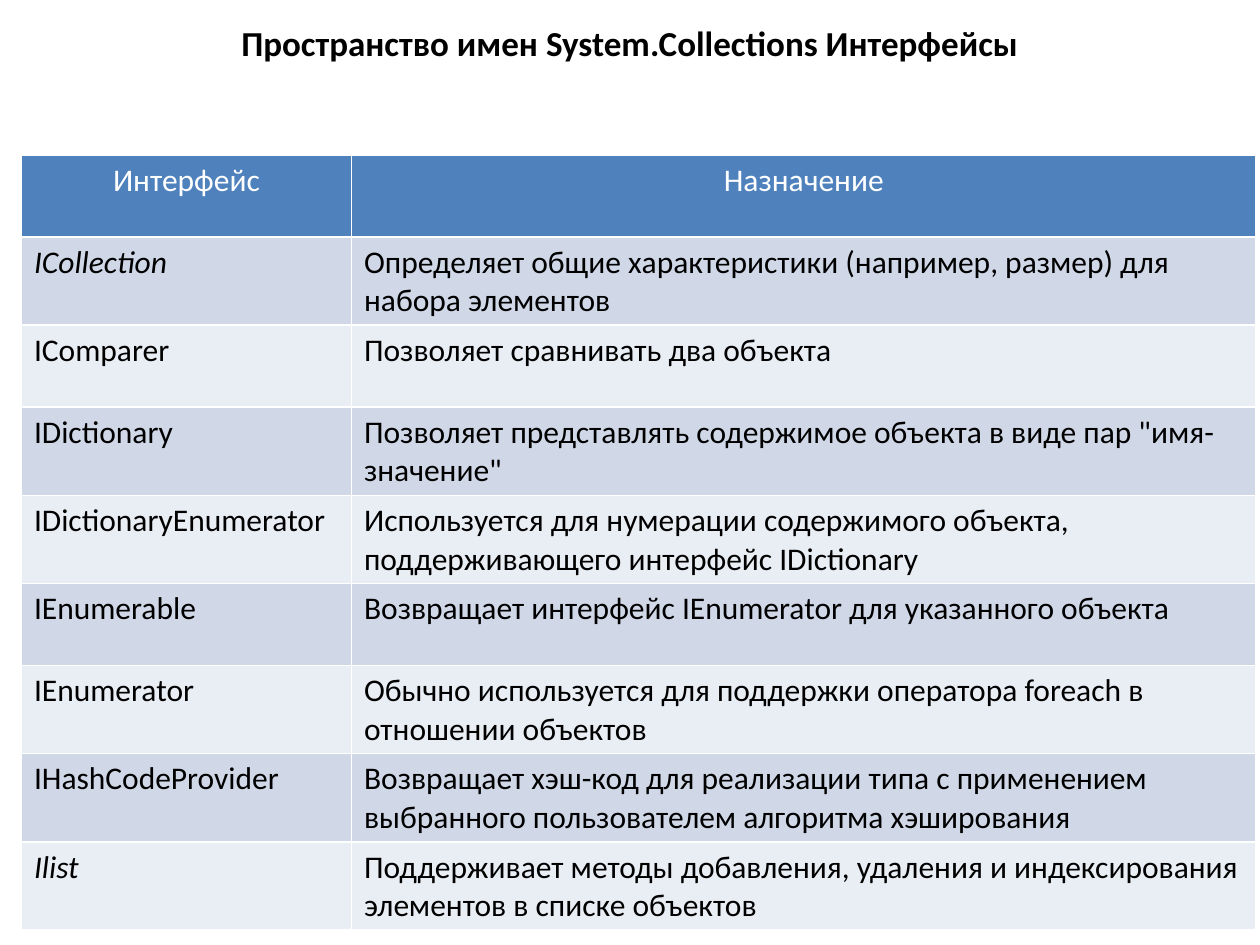
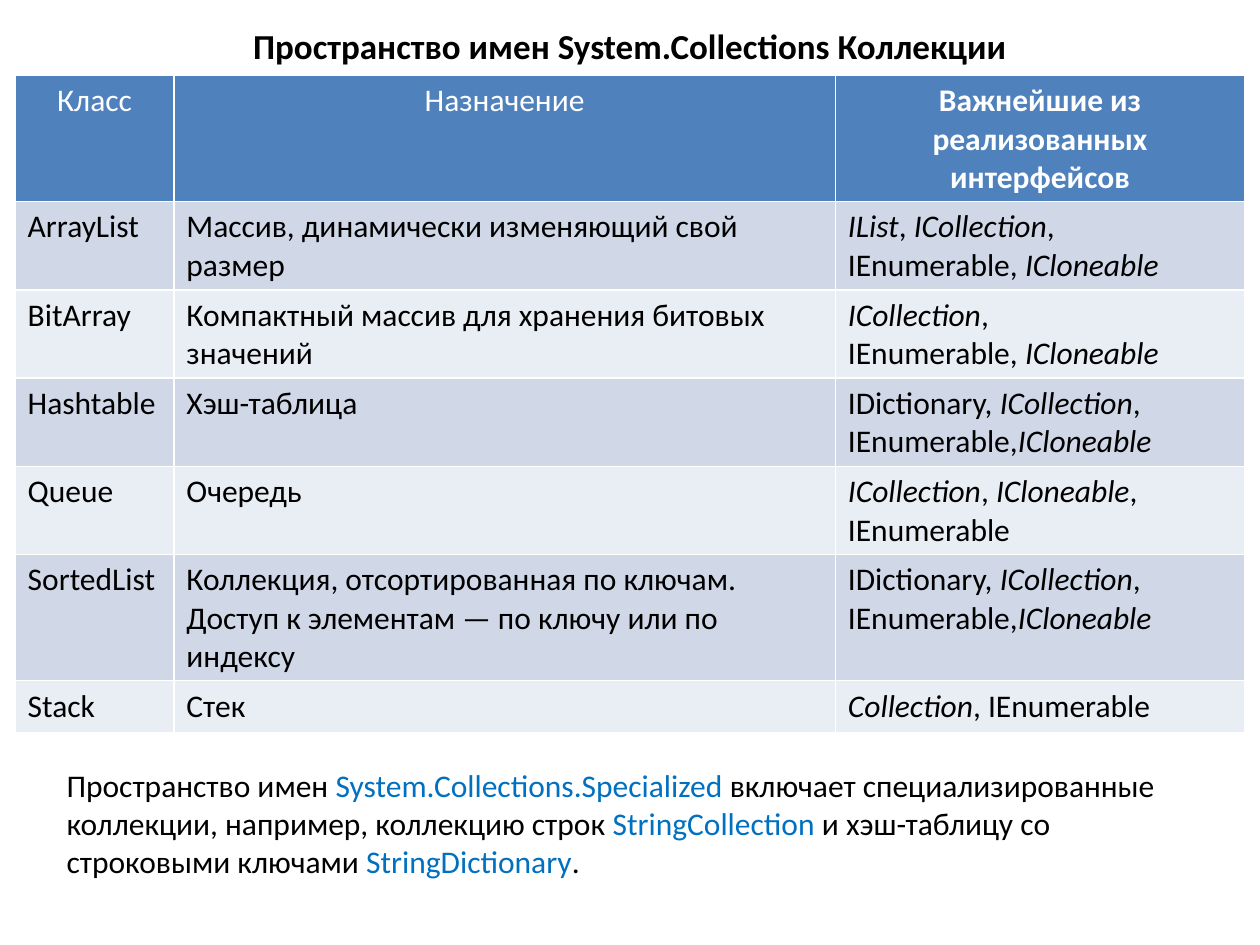
from pptx import Presentation
from pptx.dml.color import RGBColor
from pptx.enum import text
from pptx.util import Inches, Pt

FONT = "Calibri"
BLACK, WHITE, LINK = "000000", "FFFFFF", "0070C0"
HEADER_FILL = "4F81BD"
BAND_FILLS = ("D0D8E8", "E9EDF4")
TITLE_FORMAT = {"size": Pt(20), "bold": True, "color": BLACK}
HEADER_FORMAT = {"size": Pt(18), "bold": False, "color": WHITE}
BODY_FORMAT = {"size": Pt(18), "bold": False, "italic": False, "color": BLACK}
MARK, GLUE = "*", "~"

INTERFACES = [
    ("Интерфейс", "Назначение"),
    ("*ICollection*", "Определяет общие характеристики (например, размер) для набора элементов"),
    ("IComparer", "Позволяет сравнивать два объекта"),
    ("IDictionary", 'Позволяет представлять содержимое объекта в виде пар "имя-значение"'),
    ("IDictionaryEnumerator",
     "Используется для нумерации содержимого объекта, поддерживающего интерфейс IDictionary"),
    ("IEnumerable", "Возвращает интерфейс IEnumerator для указанного объекта"),
    ("IEnumerator", "Обычно используется для поддержки оператора foreach в отношении объектов"),
    ("IHashCodeProvider",
     "Возвращает хэш-код для реализации типа с применением выбранного пользователем "
     "алгоритма хэширования"),
    ("*Ilist*",
     "Поддерживает методы добавления, удаления и индексирования элементов в списке объектов"),
]

DICTIONARY_INTERFACES = "IDictionary,~*ICollection*, IEnumerable,*ICloneable*"
COLLECTIONS = [
    ("Класс", "Назначение", "*Важнейшие из реализованных интерфейсов*"),
    ("ArrayList", "Массив, динамически изменяющий свой размер",
     "*IList*,~*ICollection*, IEnumerable,~*ICloneable*"),
    ("BitArray", "Компактный массив для хранения битовых значений",
     "*ICollection*, IEnumerable,~*ICloneable*"),
    ("Hashtable", "Хэш-таблица", DICTIONARY_INTERFACES),
    ("Queue", "Очередь", "*ICollection*,~*ICloneable*, IEnumerable"),
    ("SortedList",
     "Коллекция, отсортированная по ключам. Доступ к элементам — по ключу или по индексу",
     DICTIONARY_INTERFACES),
    ("Stack", "Стек", "*Collection*, IEnumerable"),
]
SPECIALIZED_NOTE = (
    "Пространство имен *System.Collections.Specialized* включает специализированные "
    "коллекции, например, коллекцию строк *StringCollection* и хэш-таблицу со строковыми "
    "ключами *StringDictionary*."
)


def rgb(value):
    """Turn a hex string into a colour."""
    return RGBColor.from_string(value)


def write_marked(para, marked, base, accent):
    """Write text whose parts between marks take the accent format."""
    for index, part in enumerate(marked.replace(GLUE, chr(160)).split(MARK)):
        if not part:
            continue
        span = para.add_run()
        span.text = part
        span.font.name = FONT
        for name, value in {**base, **(accent if index % 2 else {})}.items():
            if name == "color":
                span.font.color.rgb = rgb(value)
            else:
                setattr(span.font, name, value)


def add_text(page, box, marked, base, accent, align, anchor):
    """Place a wrapped text box in the given box."""
    frame = page.shapes.add_textbox(*map(Inches, box)).text_frame
    frame.word_wrap = True
    frame.vertical_anchor = anchor
    para = frame.paragraphs[0]
    para.alignment = align
    write_marked(para, marked, base, accent)


def add_title(page, box, title):
    """Place the centred bold slide title."""
    add_text(page, box, title, TITLE_FORMAT, {},
             text.PP_ALIGN.CENTER, text.MSO_ANCHOR.MIDDLE)


def add_banded_table(page, corner, widths, row_height, rows):
    """Place a table with a blue header and alternating row fills."""
    size = (sum(widths), row_height * len(rows))
    table = page.shapes.add_table(
        len(rows), len(widths), *map(Inches, corner + size)).table
    for column, width in zip(table.columns, widths):
        column.width = Inches(width)
    for row_index, row in enumerate(rows):
        is_header = row_index == 0
        fill = HEADER_FILL if is_header else BAND_FILLS[(row_index - 1) % 2]
        base = HEADER_FORMAT if is_header else BODY_FORMAT
        accent = {"bold": True} if is_header else {"italic": True}
        for column_index, marked in enumerate(row):
            cell = table.cell(row_index, column_index)
            cell.fill.solid()
            cell.fill.fore_color.rgb = rgb(fill)
            para = cell.text_frame.paragraphs[0]
            para.alignment = text.PP_ALIGN.CENTER if is_header else text.PP_ALIGN.LEFT
            write_marked(para, marked, base, accent)


def add_interfaces_slide(deck):
    """Build the slide that lists the interfaces."""
    page = deck.slides.add_slide(deck.slide_layouts[6])
    add_title(page, (0.5, 0, 9, 0.68), "Пространство имен System.Collections Интерфейсы")
    add_banded_table(page, (0.17, 1.23), (2.62, 7.18), 0.65, INTERFACES)


def add_collections_slide(deck):
    """Build the slide that lists the collection classes."""
    page = deck.slides.add_slide(deck.slide_layouts[6])
    add_title(page, (0.5, 0.05, 9, 0.63), "Пространство имен System.Collections Коллекции")
    add_banded_table(page, (0.12, 0.6), (1.26, 5.25, 3.25), 0.41, COLLECTIONS)
    add_text(page, (0.43, 6.03, 9.29, 1.01), SPECIALIZED_NOTE, BODY_FORMAT,
             {"color": LINK}, text.PP_ALIGN.LEFT, text.MSO_ANCHOR.TOP)


def main():
    """Build and save the deck."""
    deck = Presentation()
    deck.slide_width, deck.slide_height = Inches(10), Inches(7.5)
    add_interfaces_slide(deck)
    add_collections_slide(deck)
    deck.save("out.pptx")


if __name__ == "__main__":
    main()
